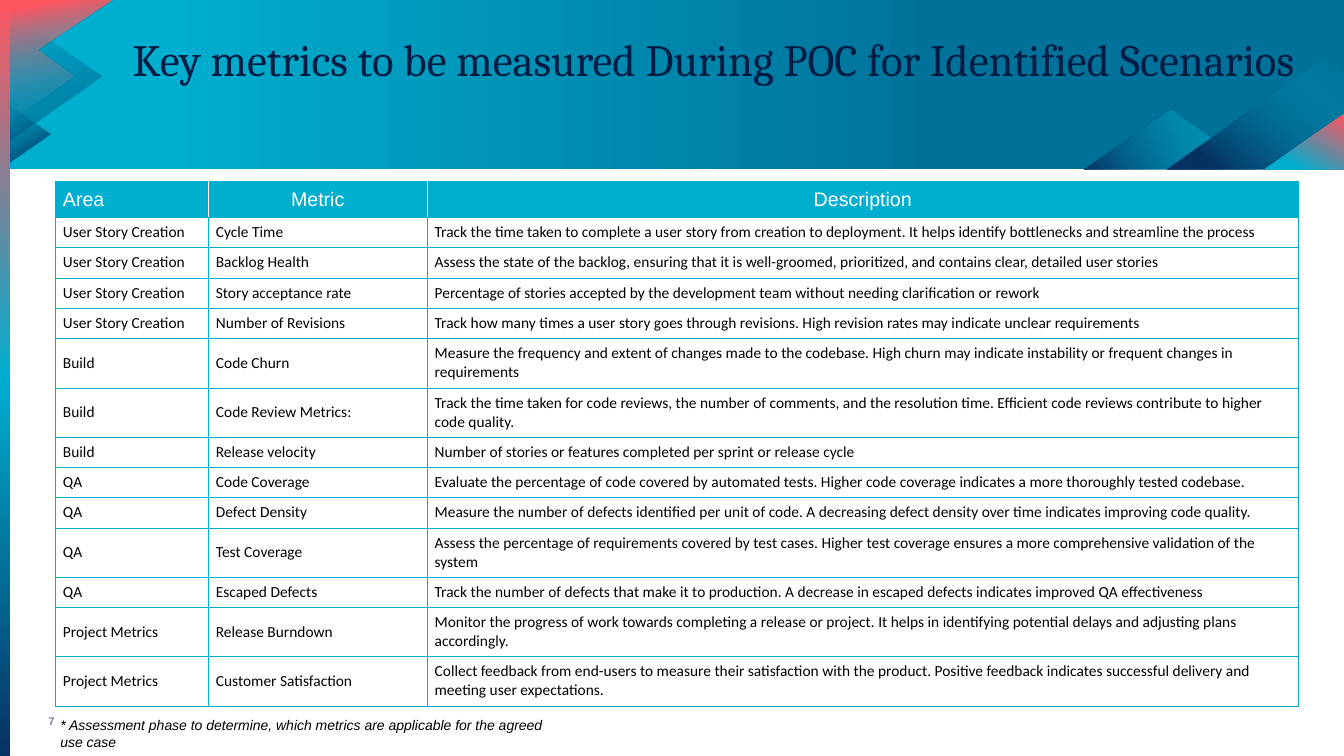
import collections

import lxml.etree
import pptx
import pptx.dml.color
import pptx.enum.shapes
import pptx.enum.text
import pptx.oxml
import pptx.oxml.ns
import pptx.util

Pt = pptx.util.Pt
RGBColor = pptx.dml.color.RGBColor
Shape = pptx.enum.shapes.MSO_SHAPE
Align = pptx.enum.text.PP_ALIGN
Anchor = pptx.enum.text.MSO_ANCHOR
Box = collections.namedtuple("Box", "left top width height")

CYAN = RGBColor(0x00, 0xAE, 0xCF)
TEAL = RGBColor(0x00, 0x71, 0x99)
NAVY = RGBColor(0x07, 0x32, 0x62)
CORAL = RGBColor(0xFF, 0x55, 0x5F)
INK = RGBColor(0x02, 0x1D, 0x44)
GREY = RGBColor(0x79, 0x83, 0x99)
BLACK = RGBColor(0x00, 0x00, 0x00)
WHITE = RGBColor(0xFF, 0xFF, 0xFF)

HEADINGS = ("Area", "Metric", "Description")
METRICS = {
    "User Story Creation": [
        ("Cycle Time", "Track the time taken to complete a user story from creation to deployment. "
         "It helps identify bottlenecks and streamline the process"),
        ("Backlog Health", "Assess the state of the backlog, ensuring that it is well-groomed, "
         "prioritized, and contains clear, detailed user stories"),
        ("Story acceptance rate", "Percentage of stories accepted by the development team "
         "without needing clarification or rework"),
        ("Number of Revisions", "Track how many times a user story goes through revisions. "
         "High revision rates may indicate unclear requirements"),
    ],
    "Build": [
        ("Code Churn", "Measure the frequency and extent of changes made to the codebase. "
         "High churn may indicate instability or frequent changes in requirements"),
        ("Code Review Metrics:", "Track the time taken for code reviews, the number of comments, and "
         "the resolution time. Efficient code reviews contribute to higher code quality."),
        ("Release velocity", "Number of stories or features completed per sprint or release cycle"),
    ],
    "QA": [
        ("Code Coverage", "Evaluate the percentage of code covered by automated tests. "
         "Higher code coverage indicates a more thoroughly tested codebase."),
        ("Defect Density", "Measure the number of defects identified per unit of code. "
         "A decreasing defect density over time indicates improving code quality."),
        ("Test Coverage", "Assess the percentage of requirements covered by test cases. "
         "Higher test coverage ensures a more comprehensive validation of the system"),
        ("Escaped Defects", "Track the number of defects that make it to production. "
         "A decrease in escaped defects indicates improved QA effectiveness"),
    ],
    "Project Metrics": [
        ("Release Burndown", "Monitor the progress of work towards completing a release or project. "
         "It helps in identifying potential delays and adjusting plans accordingly."),
        ("Customer Satisfaction", "Collect feedback from end-users to measure their satisfaction with "
         "the product. Positive feedback indicates successful delivery and meeting user expectations."),
    ],
}
COLUMN_SHARES = (0.123, 0.176, 0.701)
HEADER_HEIGHT, LINE_HEIGHT, TWO_LINE_HEIGHT = 25.8, 21.65, 35
LINE_CHARACTERS = 132  # longest description that fits on one line


def write_text(frame, text, font="Calibri", size=11, color=BLACK, bold=False, italic=False,
               align=Align.LEFT, anchor=Anchor.TOP, after=0):
    frame.word_wrap = True
    frame.vertical_anchor = anchor
    para = frame.paragraphs[0]
    para.alignment = align
    para.space_after = Pt(after)
    span = para.add_run()
    span.text = text
    span.font.name, span.font.size = font, Pt(size)
    span.font.bold, span.font.italic = bold, italic
    span.font.color.rgb = color


def set_margins(target, across, down):
    target.margin_left = target.margin_right = Pt(across)
    target.margin_top = target.margin_bottom = Pt(down)


def paint_gradient(shape, angle, *stops):
    """Fill with stops of (position %, colour[, opacity %]) and remove line and shadow."""
    shape.shadow.inherit = False
    shape.line.fill.background()
    shape.fill.gradient()
    gradient = shape.element.spPr.find(pptx.oxml.ns.qn("a:gradFill"))
    stop_list = gradient.find(pptx.oxml.ns.qn("a:gsLst"))
    for old_stop in list(stop_list):
        stop_list.remove(old_stop)
    for position, color, *opacity in stops:
        stop = lxml.etree.SubElement(stop_list, pptx.oxml.ns.qn("a:gs"), pos=str(position * 1000))
        rgb = lxml.etree.SubElement(stop, pptx.oxml.ns.qn("a:srgbClr"), val=str(color))
        for percent in opacity:
            lxml.etree.SubElement(rgb, pptx.oxml.ns.qn("a:alpha"), val=str(percent * 1000))
    gradient.find(pptx.oxml.ns.qn("a:lin")).set("ang", str(angle * 60000))


def add_preset(page, kind, box):
    return page.shapes.add_shape(kind, *(Pt(length) for length in box))


def add_polygon(page, origin, points):
    """Draw a closed outline whose points are measured from the origin."""
    corners = [(Pt(origin[0] + x), Pt(origin[1] + y)) for x, y in points]
    builder = page.shapes.build_freeform(*corners[0], scale=1.0)
    builder.add_line_segments(corners[1:], close=True)
    return builder.convert_to_shape()


def add_corner_triangle(page, banner, width, height):
    """Place a right triangle in the lower right corner of the banner."""
    right, bottom = banner.left + banner.width, banner.top + banner.height
    triangle = add_preset(page, Shape.RIGHT_TRIANGLE,
                          Box(right - width, bottom - height, width, height))
    triangle.element.spPr.find(pptx.oxml.ns.qn("a:xfrm")).set("flipH", "1")
    return triangle


def draw_banner(page, box):
    paint_gradient(add_preset(page, Shape.RECTANGLE, box), 0, (12, CYAN), (70, TEAL))

    lower_right = (box.left + box.width, box.top + box.height)
    peak = add_polygon(page, lower_right, [(-186, 0), (-123.4, -42.6), (-62.2, 0)])
    paint_gradient(peak, 150, (29, CYAN, 48), (100, NAVY))
    paint_gradient(add_corner_triangle(page, box, 126.7, 89.6), 50, (7, CYAN, 0), (83, NAVY))
    paint_gradient(add_corner_triangle(page, box, 56.4, 39.6), 60, (0, CORAL), (80, CYAN))

    upper_left = (box.left, box.top)
    arrow = add_polygon(page, upper_left, [(0, 4.3), (72.7, 54.7), (0, 105.1)])
    paint_gradient(arrow, 70, (0, CYAN), (100, TEAL))
    notch = add_polygon(page, upper_left,
                        [(81.1, 0), (27.4, 36), (53.3, 54.7), (0.7, 91.4), (0, 0)])
    paint_gradient(notch, 80, (8, CORAL), (96, CYAN, 0))
    small_arrow = add_polygon(page, upper_left, [(0, 70.6), (36, 95.8), (0, 121)])
    paint_gradient(small_arrow, 240, (12, NAVY), (97, TEAL, 0))


def draw_side_strip(page, box):
    strip = add_preset(page, Shape.RECTANGLE, box)
    paint_gradient(strip, 90, (0, CORAL), (50, CYAN), (100, NAVY))


def place_title(page, box, text):
    title = page.shapes.title
    title.left, title.top, title.width, title.height = (Pt(length) for length in box)
    set_margins(title.text_frame, 0, 0)
    write_text(title.text_frame, text, font="Cambria", size=32, color=INK,
               align=Align.CENTER, anchor=Anchor.MIDDLE, after=6)
    page.shapes.element.append(title.element)  # bring in front of the banner


def add_borders(cell, left=CYAN, right=CYAN):
    sides = {"lnL": left, "lnR": right, "lnT": CYAN, "lnB": CYAN}
    for index, (side, color) in enumerate(sides.items()):
        border = pptx.oxml.parse_xml(
            f'<a:{side} {pptx.oxml.ns.nsdecls("a")} w="3175"><a:solidFill>'
            f'<a:srgbClr val="{color}"/></a:solidFill></a:{side}>')
        cell._tc.get_or_add_tcPr().insert(index, border)


def draw_metrics_table(page, box):
    rows = [(area, *entry) for area, entries in METRICS.items() for entry in entries]
    heights = [HEADER_HEIGHT] + [
        TWO_LINE_HEIGHT if len(row[2]) > LINE_CHARACTERS else LINE_HEIGHT for row in rows]
    frame = page.shapes.add_table(len(heights), len(HEADINGS), *(Pt(length) for length in box))
    table = frame.table
    table.first_row = table.horz_banding = False
    for column, share in zip(table.columns, COLUMN_SHARES):
        column.width = Pt(box.width * share)
    for row, height in zip(table.rows, heights):
        row.height = Pt(height)

    last = len(HEADINGS) - 1
    for row_index, values in enumerate([HEADINGS] + rows):
        for index, value in enumerate(values):
            cell = table.cell(row_index, index)
            set_margins(cell, 5.4, 4)
            cell.vertical_anchor = Anchor.MIDDLE
            if row_index == 0:
                cell.fill.solid()
                cell.fill.fore_color.rgb = CYAN
                add_borders(cell, left=WHITE if index else CYAN,
                            right=WHITE if index < last else CYAN)
                write_text(cell.text_frame, value, font="Arial", size=14, color=WHITE,
                           align=Align.CENTER if index else Align.LEFT)
            else:
                cell.fill.background()
                add_borders(cell)
                write_text(cell.text_frame, value)


def add_label(page, box, text, margins=(7.2, 3.6), **text_format):
    label = page.shapes.add_textbox(*(Pt(length) for length in box))
    set_margins(label.text_frame, *margins)
    write_text(label.text_frame, text, **text_format)


def build_metrics_slide(deck, box):
    page = deck.slides.add_slide(deck.slide_layouts[5])
    add_label(page, Box(box.left + 34.6, box.height - 29.5, 10, 9.4), "7", margins=(0, 0),
              font="Arial", size=8, color=GREY, bold=True, anchor=Anchor.MIDDLE)
    draw_banner(page, Box(box.left, box.top, box.width, 121))
    draw_side_strip(page, Box(box.left, box.top, 7.2, box.height))
    place_title(page, Box(box.left + 66, box.top + 3, 888, 78),
                "Key metrics to be measured During POC for Identified Scenarios")
    draw_metrics_table(page, Box(box.left + 39.6, box.top + 129.4, 888, 374))
    add_label(page, Box(box.left + 36, box.height - 31.7, 375, 30),
              "* Assessment phase to determine, which metrics are applicable for the agreed use case",
              font="Arial", size=10, italic=True)


def main():
    deck = pptx.Presentation()
    deck.slide_width, deck.slide_height = Pt(960), Pt(540)
    build_metrics_slide(deck, Box(0, 0, 960, 540))
    deck.save("out.pptx")


if __name__ == "__main__":
    main()
